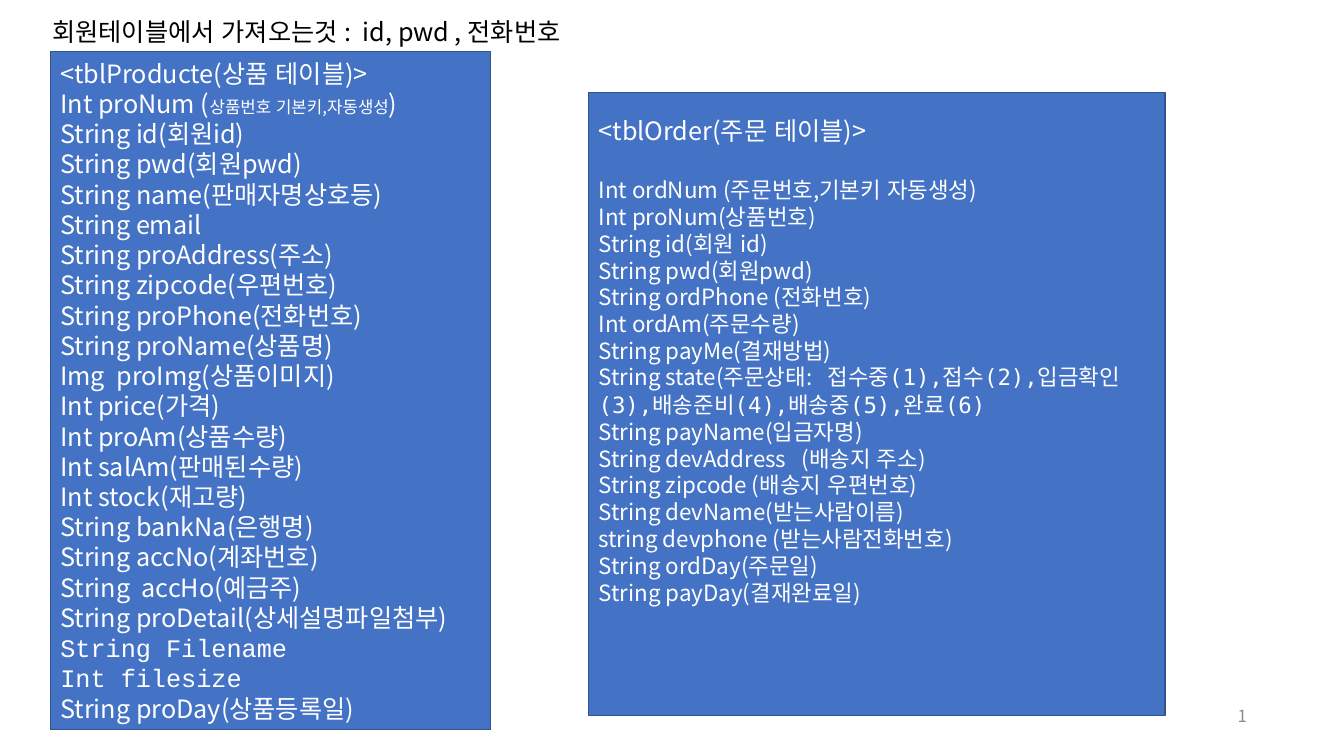
from lxml.etree import SubElement
from pptx import Presentation
from pptx.dml.color import RGBColor
from pptx.enum.shapes import MSO_SHAPE as Shape
from pptx.enum.text import MSO_ANCHOR as Anchor, MSO_AUTO_SIZE as AutoSize, PP_ALIGN as Align
from pptx.oxml.ns import qn
from pptx.util import Pt

BLACK = RGBColor(0, 0, 0)
WHITE = RGBColor(255, 255, 255)
BLUE = RGBColor(0x44, 0x72, 0xC4)
DARK_BLUE = RGBColor(0x32, 0x54, 0x91)
GRAY = RGBColor(0x8C, 0x8C, 0x8C)
SANS = "Noto Sans CJK KR"
COURIER = "Courier New"
MONO = "DejaVu Sans Mono"
LINE_RATIO = 1.2

HEADING = "회원테이블에서 가져오는것 :  id, pwd , 전화번호"
PRODUCT_FIELDS = [
    "<tblProducte(상품 테이블)>",
    [("Int proNum (", 18, SANS), ("상품번호 기본키,자동생성", 12, SANS), (")", 18, SANS)],
    "String id(회원id)",
    "String pwd(회원pwd)",
    "String name(판매자명상호등)",
    "String email",
    "String proAddress(주소)",
    "String zipcode(우편번호)",
    "String proPhone(전화번호)",
    "String proName(상품명)",
    "Img  proImg(상품이미지)",
    "Int price(가격)",
    "Int proAm(상품수량)",
    "Int salAm(판매된수량)",
    "Int stock(재고량)",
    "String bankNa(은행명)",
    "String accNo(계좌번호)",
    "String  accHo(예금주)",
    "String proDetail(상세설명파일첨부)",
    [("String Filename", 18, COURIER)],
    [("Int filesize", 18, COURIER)],
    "String proDay(상품등록일)",
]
ORDER_TITLE = "<tblOrder(주문 테이블)>"
ORDER_FIELDS = [
    "Int ordNum (주문번호,기본키 자동생성)",
    "Int proNum(상품번호)",
    "String id(회원 id)",
    "String pwd(회원pwd)",
    "String ordPhone (전화번호)",
    "Int ordAm(주문수량)",
    "String payMe(결재방법)",
    [("String state(주문상태:", 16, SANS), (" ", 18, MONO),
     ("접수중(1),접수(2),입금확인(3),배송준비(4),배송중(5),완료(6)", 16, MONO)],
    "String payName(입금자명)",
    "String devAddress   (배송지 주소)",
    "String zipcode (배송지 우편번호)",
    "String devName(받는사람이름)",
    "string devphone (받는사람전화번호)",
    "String ordDay(주문일)",
    "String payDay(결재완료일)",
]


def set_east_asian_font(run):
    properties = run._r.get_or_add_rPr()
    properties.set("lang", "ko-KR")
    SubElement(properties, qn("a:ea")).set("typeface", SANS)


def write_line(paragraph, content, size, color):
    paragraph.alignment = Align.LEFT
    paragraph.line_spacing = Pt(size * LINE_RATIO)
    paragraph.font.size = Pt(size)
    paragraph.font.name = SANS
    paragraph.font.color.rgb = color
    pieces = [(content, size, SANS)] if isinstance(content, str) else content
    for text, run_size, font_name in pieces:
        run = paragraph.add_run()
        run.text = text
        run.font.size = Pt(run_size)
        run.font.color.rgb = color
        run.font.name = font_name
        set_east_asian_font(run)


def write_lines(frame, lines, size):
    for content in lines:
        is_first = not frame.paragraphs[0].runs
        paragraph = frame.paragraphs[0] if is_first else frame.add_paragraph()
        write_line(paragraph, content, size, WHITE)


def place_heading(slide, left, top, width, height):
    title = slide.shapes.title
    title.left, title.top, title.width, title.height = left, top, width, height
    frame = title.text_frame
    frame.auto_size = AutoSize.NONE
    frame.vertical_anchor = Anchor.TOP
    write_line(frame.paragraphs[0], HEADING, 18, BLACK)


def add_panel(slide, left, top, width, height):
    panel = slide.shapes.add_shape(Shape.RECTANGLE, left, top, width, height)
    panel.shadow.inherit = False
    panel.fill.solid()
    panel.fill.fore_color.rgb = BLUE
    panel.line.color.rgb = DARK_BLUE
    panel.line.width = Pt(1)
    panel.text_frame.word_wrap = True
    return panel.text_frame


def add_product_table(slide, left, top, width, height):
    frame = add_panel(slide, left, top, width, height)
    frame.vertical_anchor = Anchor.MIDDLE
    write_lines(frame, PRODUCT_FIELDS, 18)


def add_order_table(slide, left, top, width, height):
    frame = add_panel(slide, left, top, width, height)
    frame.vertical_anchor = Anchor.TOP
    frame.margin_top = Pt(16)
    write_lines(frame, [ORDER_TITLE], 18)
    frame.paragraphs[0].space_after = Pt(22)
    write_lines(frame, ORDER_FIELDS, 16)


def add_page_number(slide, left, top, width, height):
    frame = slide.shapes.add_textbox(left, top, width, height).text_frame
    frame.word_wrap = True
    frame.vertical_anchor = Anchor.MIDDLE
    paragraph = frame.paragraphs[0]
    write_line(paragraph, "1", 12, GRAY)
    paragraph.alignment = Align.RIGHT


def main():
    presentation = Presentation()
    presentation.slide_width, presentation.slide_height = Pt(960), Pt(540)
    slide = presentation.slides.add_slide(presentation.slide_layouts[5])
    place_heading(slide, Pt(30.2), Pt(8), Pt(626.4), Pt(29))
    add_product_table(slide, Pt(36), Pt(36.7), Pt(314.6), Pt(484.6))
    add_order_table(slide, Pt(420.5), Pt(66.2), Pt(411.8), Pt(445))
    add_page_number(slide, Pt(681.8), Pt(496.8), Pt(216), Pt(28.8))
    presentation.save("out.pptx")


main()
